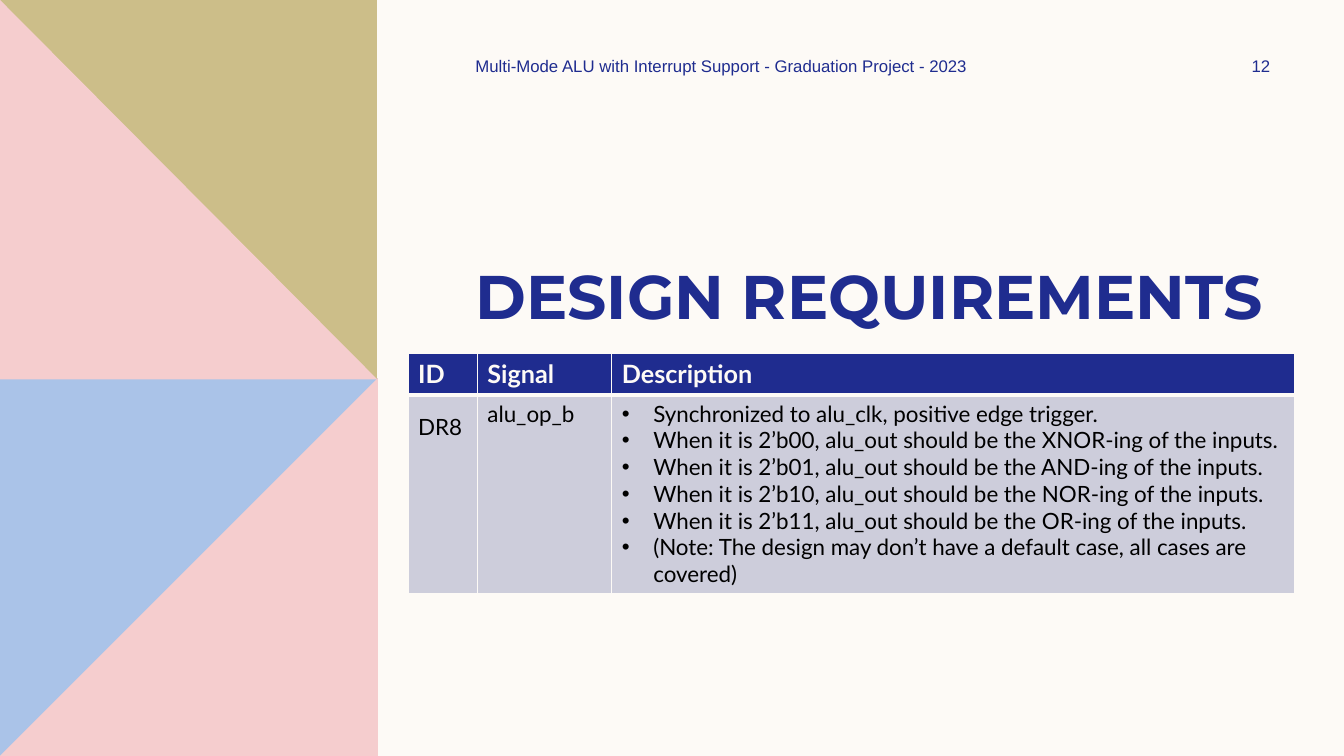
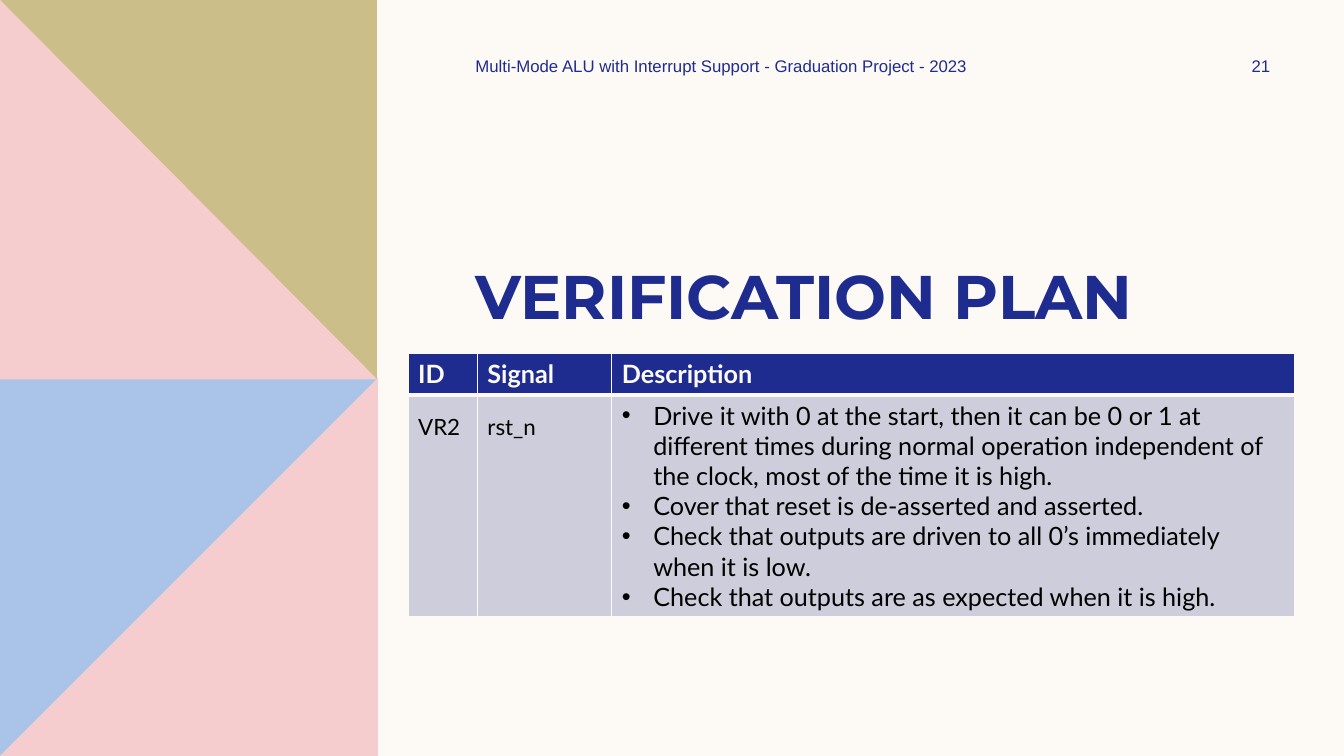
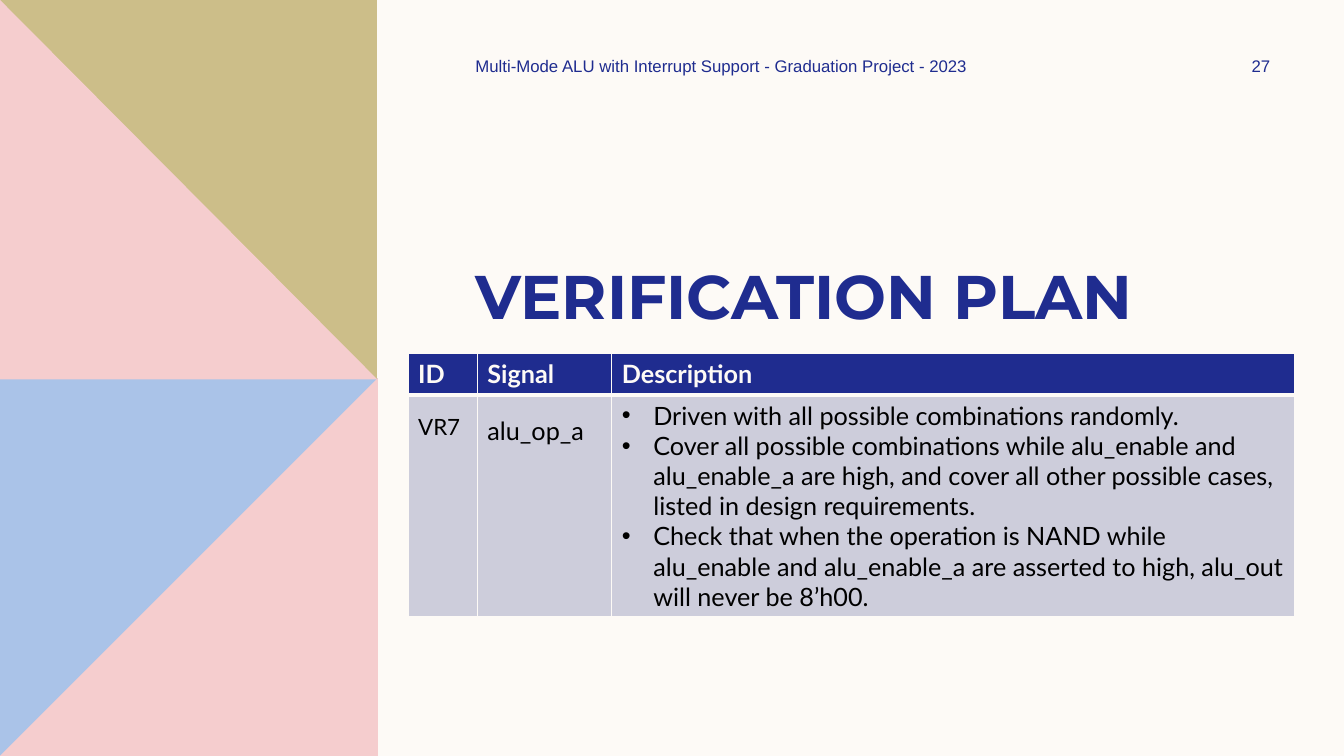
import pptx
import pptx.dml.color
import pptx.enum.text
import pptx.oxml
import pptx.oxml.ns
import pptx.util

Pt = pptx.util.Pt
ALIGN = pptx.enum.text.PP_ALIGN
ANCHOR = pptx.enum.text.MSO_ANCHOR

FOOTER = "Multi-Mode ALU with Interrupt Support - Graduation Project - 2023"
HEADINGS = ["ID", "Signal", "Description"]
SLIDES = [
    {
        "title": "DESIGN REQUIREMENTS", "number": "12", "id": "DR8",
        "signal": ("alu_op_b", 16, 1.0), "size": 16,
        "description": [
            "Synchronized to alu_clk, positive edge trigger.",
            "When it is 2’b00, alu_out should be the XNOR-ing of the inputs.",
            "When it is 2’b01, alu_out should be the AND-ing of the inputs.",
            "When it is 2’b10, alu_out should be the NOR-ing of the inputs.",
            "When it is 2’b11, alu_out should be the OR-ing of the inputs.",
            "(Note: The design may don’t have a default case, all cases are covered)",
        ],
    },
    {
        "title": "VERIFICATION PLAN", "number": "21", "id": "VR2",
        "signal": ("rst_n", 16, 1.5), "size": 18,
        "description": [
            "Drive it with 0 at the start, then it can be 0 or 1 at different times during "
            "normal operation independent of the clock, most of the time it is high.",
            "Cover that reset is de-asserted and asserted.",
            "Check that outputs are driven to all 0’s immediately when it is low.",
            "Check that outputs are as expected when it is high.",
        ],
    },
    {
        "title": "VERIFICATION PLAN", "number": "27", "id": "VR7",
        "signal": ("alu_op_a", 18, 1.5), "size": 18,
        "description": [
            "Driven with all possible combinations randomly.",
            "Cover all possible combinations while alu_enable and alu_enable_a are high, "
            "and cover all other possible cases, listed in design requirements.",
            "Check that when the operation is NAND while alu_enable and alu_enable_a are "
            "asserted to high, alu_out will never be 8’h00.",
        ],
    },
]

THEME = {
    "paper": "FDFAF6", "navy": "1F2C8F", "blue": "AAC3E8", "pink": "F5CDCE",
    "olive": "CCBE89", "row": "CDCDDB", "ink": "000000",
}
STYLES = {
    "title": {"name": "Montserrat", "size": 44, "bold": True, "color": "navy"},
    "footer": {"name": "Arial", "size": 12, "bold": False, "color": "navy"},
    "heading": {"name": "Lato", "size": 18, "bold": True, "color": "paper"},
    "body": {"name": "Lato", "size": 16, "bold": False, "color": "ink"},
}

PANEL = [
    ("blue", [(0, 270), (270, 270), (270, 540), (0, 540)]),
    ("pink", [(270, 270), (270, 540), (0, 540)]),
    ("olive", [(0, 0), (269.5, 0), (269.5, 271), (0, 271)]),
    ("pink", [(0, 0), (269.5, 271), (0, 271)]),
]
TEXT_LEFT = 332.5
TABLE_LEFT, TABLE_TOP = 291.5, 252.75
COLUMN_WIDTHS = [49.5, 96, 488]
HEADER_HEIGHT = 29.5
DESCRIPTION_LINES = 7
BULLET_INDENT = 22.5


def color(name):
    return pptx.dml.color.RGBColor.from_string(THEME[name])


def write(paragraph, text, style, **changes):
    """Put text in a paragraph in a named style, with any changes to that style."""
    values = {**STYLES[style], **changes}
    paragraph.text = text
    font = paragraph.font
    font.color.rgb = color(values.pop("color"))
    values["size"] = Pt(values["size"])
    for name, value in values.items():
        setattr(font, name, value)


def add_bullet(paragraph):
    properties = paragraph._p.get_or_add_pPr()
    properties.set("marL", str(Pt(BULLET_INDENT)))
    properties.set("indent", str(-Pt(BULLET_INDENT)))
    for tag, attribute, value in (("a:buFont", "typeface", "Arial"), ("a:buChar", "char", "•")):
        pptx.oxml.ns.qn(tag)
        element = properties.makeelement(pptx.oxml.ns.qn(tag), {attribute: value})
        properties.append(element)


def set_borders(cell, widths):
    """Draw the left, right, top and bottom borders; they must precede the fill."""
    properties = cell._tc.get_or_add_tcPr()
    for side, width in zip("LRTB", widths):
        properties.append(pptx.oxml.parse_xml(
            f'<a:ln{side} {pptx.oxml.ns.nsdecls("a")} w="{Pt(width)}"><a:solidFill>'
            f'<a:srgbClr val="{THEME["paper"]}"/></a:solidFill></a:ln{side}>'))


def format_cell(cell, fill, borders):
    set_borders(cell, borders)
    cell.fill.solid()
    cell.fill.fore_color.rgb = color(fill)


def add_panel(slide):
    for fill, points in PANEL:
        corners = [(Pt(x), Pt(y)) for x, y in points]
        builder = slide.shapes.build_freeform(*corners[0])
        builder.add_line_segments(corners[1:], close=True)
        shape = builder.convert_to_shape()
        shape.shadow.inherit = False
        shape.fill.solid()
        shape.fill.fore_color.rgb = color(fill)
        shape.line.fill.background()


def add_text(slide, box, text, style, anchor, alignment=ALIGN.LEFT):
    frame = slide.shapes.add_textbox(*map(Pt, box)).text_frame
    frame.word_wrap = True
    frame.vertical_anchor = anchor
    frame.paragraphs[0].alignment = alignment
    write(frame.paragraphs[0], text, style)


def add_requirement_table(slide, content):
    body_height = DESCRIPTION_LINES * content["size"] * 1.2 + 7.2
    table = slide.shapes.add_table(
        2, len(HEADINGS), Pt(TABLE_LEFT), Pt(TABLE_TOP),
        Pt(sum(COLUMN_WIDTHS)), Pt(HEADER_HEIGHT + body_height)).table
    for row, height in zip(table.rows, (HEADER_HEIGHT, body_height)):
        row.height = Pt(height)
    for index, (heading, width) in enumerate(zip(HEADINGS, COLUMN_WIDTHS)):
        table.columns[index].width = Pt(width)
        header = table.cell(0, index)
        format_cell(header, "navy", (1, 1, 1, 3))
        write(header.text_frame.paragraphs[0], heading, "heading")
        format_cell(table.cell(1, index), "row", (1, 1, 3, 1))

    labels = [(content["id"], STYLES["body"]["size"], 1.5), content["signal"]]
    for index, (text, size, spacing) in enumerate(labels):
        paragraph = table.cell(1, index).text_frame.paragraphs[0]
        paragraph.line_spacing = spacing
        write(paragraph, text, "body", size=size)

    frame = table.cell(1, 2).text_frame
    for index, text in enumerate(content["description"]):
        paragraph = frame.add_paragraph() if index else frame.paragraphs[0]
        add_bullet(paragraph)
        write(paragraph, text, "body", size=content["size"])


def main():
    presentation = pptx.Presentation()
    presentation.slide_width, presentation.slide_height = Pt(960), Pt(540)
    background = presentation.slide_master.background.fill
    background.solid()
    background.fore_color.rgb = color("paper")
    for content in SLIDES:
        slide = presentation.slides.add_slide(presentation.slide_layouts[6])
        add_panel(slide)
        add_text(slide, (TEXT_LEFT, 180, 627, 60.5), content["title"], "title", ANCHOR.BOTTOM)
        add_text(slide, (TEXT_LEFT, 36, 432, 21.5), FOOTER, "footer", ANCHOR.MIDDLE)
        add_text(slide, (862, 36, 77.5, 21.5), content["number"], "footer",
                 ANCHOR.MIDDLE, ALIGN.CENTER)
        add_requirement_table(slide, content)
    presentation.save("out.pptx")


if __name__ == "__main__":
    main()
